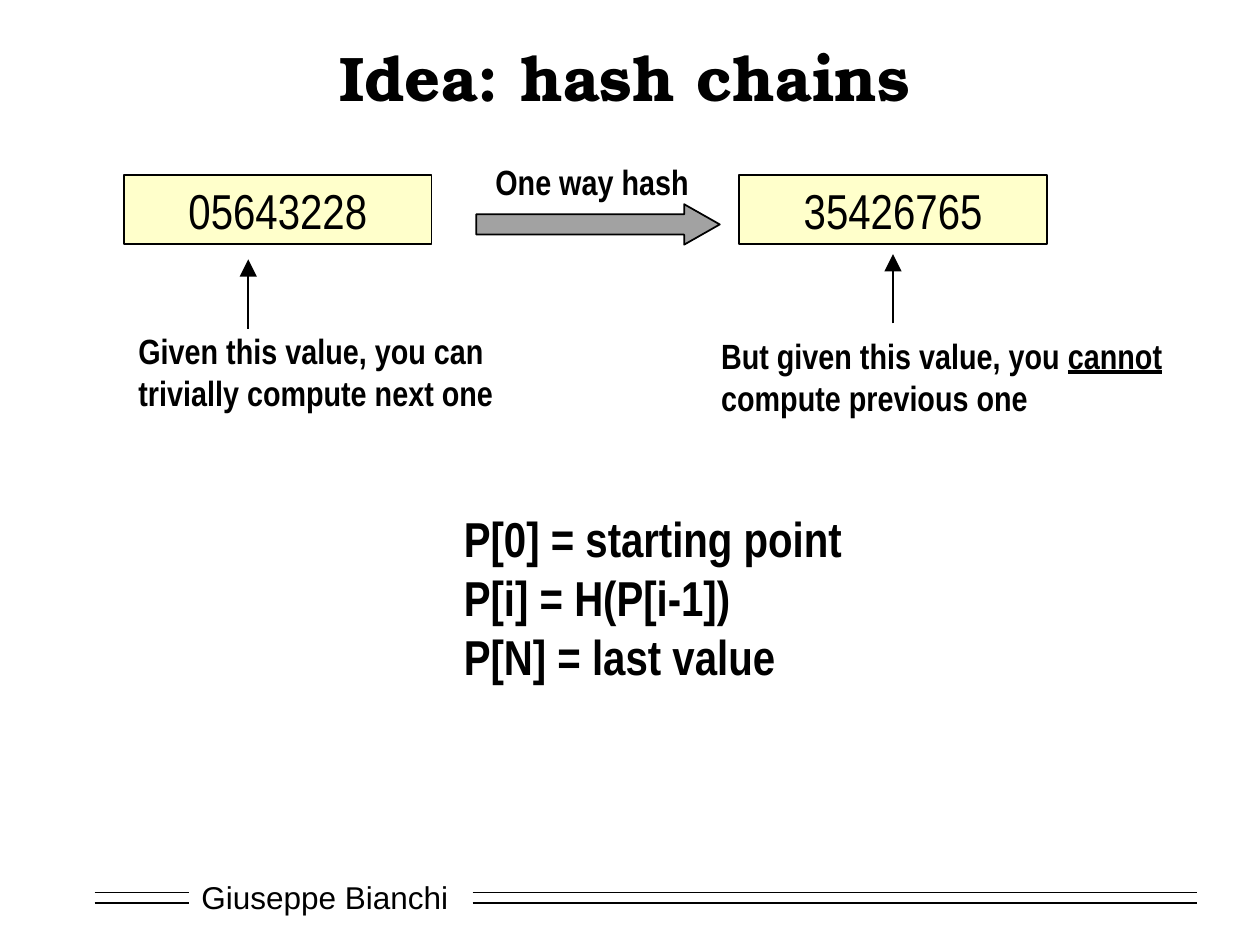
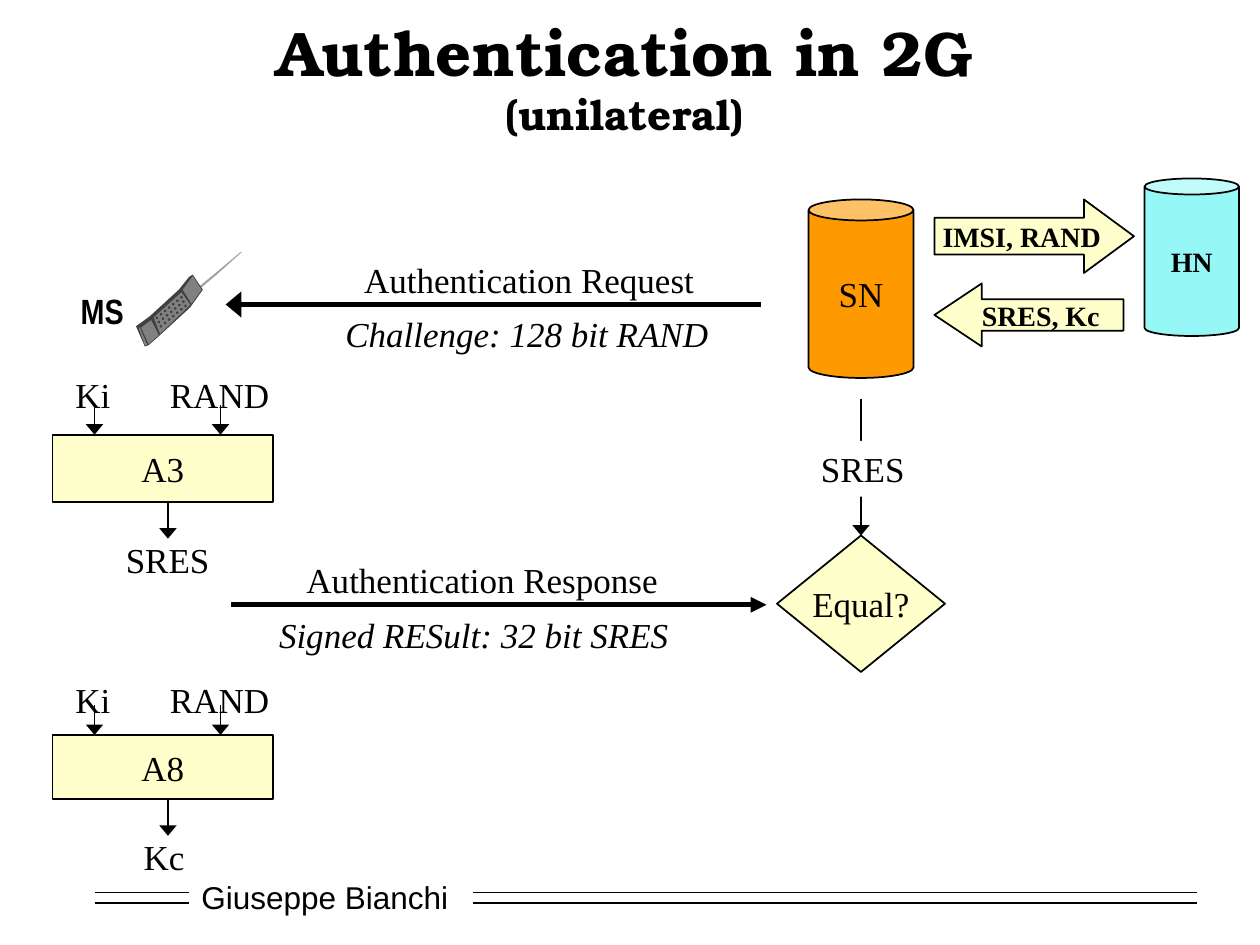
from lxml.etree import SubElement
from pptx import Presentation
from pptx.dml.color import RGBColor
from pptx.enum.shapes import MSO_CONNECTOR, MSO_SHAPE
from pptx.enum.text import MSO_ANCHOR, MSO_AUTO_SIZE, PP_ALIGN
from pptx.oxml.ns import qn
from pptx.util import Inches, Pt

COLORS = {
    "ink": "000000", "paper": "FFFFFF", "yellow": "FFFF99", "arrow": "474747",
    "orange": "FF9900", "cyan": "96F8F6",
    "dark": "404040", "mid": "808080", "light": "A0A0A0",
}
TITLE_FONT, FOOTER_FONT = "TeX Gyre Bonum", "Arial"
NARROW, SERIF = "Arial Narrow", "Times New Roman"
LABEL_HEIGHT = 5.3


def grid(*cells):
    """Columns and rows of a 120 by 90 grid, as lengths."""
    return [Inches(cell / 12) for cell in cells]


def color(name):
    return RGBColor.from_string(COLORS[name])


def write(shape, text, font=SERIF, size=20, bold=False, italic=False, align=None,
          anchor=MSO_ANCHOR.TOP, wrap=False, before=None):
    """Fill a shape: text is a string, or paragraphs made of (text, changes) spans."""
    frame = shape.text_frame
    frame.word_wrap = wrap
    frame.vertical_anchor = anchor
    paragraphs = [[(text, {})]] if isinstance(text, str) else text
    for index, spans in enumerate(paragraphs):
        para = frame.add_paragraph() if index else frame.paragraphs[0]
        para.alignment = align or PP_ALIGN.LEFT
        if before:
            para.space_before = Pt(before)
        for words, changes in spans:
            if words == "\n":
                para.add_line_break()
                continue
            span = para.add_run()
            span.text = words
            span.font.name = font
            span.font.size = Pt(changes.get("size", size))
            span.font.bold = bold
            span.font.italic = italic
            span.font.underline = changes.get("underline", False)
            span.font.color.rgb = color("ink")


def lines(*texts):
    return [[(text, {})] for text in texts]


def add_label(page, place, text, fill=None, **style):
    """A text box, a little wider than its text so that each line stays whole."""
    box = page.shapes.add_textbox(*grid(*place))
    write(box, text, wrap=True, **style)
    box.text_frame.auto_size = MSO_AUTO_SIZE.SHAPE_TO_FIT_TEXT
    if fill:
        box.fill.solid()
        box.fill.fore_color.rgb = color(fill)


def paint(shape, fill, opacity=100, outlined=True):
    shape.shadow.inherit = False
    shape.fill.solid()
    shape.fill.fore_color.rgb = color(fill)
    if opacity < 100:
        tint = shape.fill._xPr.find(qn("a:solidFill"))[0]
        SubElement(tint, qn("a:alpha"), val=str(opacity * 1000))
    if outlined:
        shape.line.color.rgb = color("ink")
        shape.line.width = Pt(1)
    else:
        shape.line.fill.background()


def add_block(page, kind, place, text="", fill="yellow", opacity=50, adjust=(), **style):
    shape = page.shapes.add_shape(kind, *grid(*place))
    for index, value in enumerate(adjust):
        shape.adjustments[index] = value
    paint(shape, fill, opacity)
    if text:
        write(shape, text, align=PP_ALIGN.CENTER, anchor=MSO_ANCHOR.MIDDLE, **style)


def add_line(page, ends, width=1, head=("lg", "med")):
    """A line; head is the width and length of its arrowhead, or None."""
    line = page.shapes.add_connector(MSO_CONNECTOR.STRAIGHT, *grid(*ends))
    line.line.color.rgb = color("ink")
    line.line.width = Pt(width)
    if head:
        SubElement(line.line._get_or_add_ln(), qn("a:tailEnd"),
                   type="triangle", w=head[0], len=head[1])
    SubElement(line._element.spPr, qn("a:effectLst"))


def add_page(deck, title):
    page = deck.slides.add_slide(deck.slide_layouts[6])
    # Footer with its double rule
    add_label(page, (18, 83.05, 26, 4.8), "Giuseppe Bianchi", fill="paper",
              font=FOOTER_FONT, size=18, anchor=MSO_ANCHOR.MIDDLE, before=11.2)
    for row in (85, 86):
        for left, right in ((9, 18), (45, 114)):
            add_line(page, (left, row, right, row), head=None)
    # Title
    box = page.shapes.add_textbox(*grid(9, 3, 101, 8.5))
    write(box, title, font=TITLE_FONT, size=36, bold=True, wrap=True,
          align=PP_ALIGN.CENTER, anchor=MSO_ANCHOR.MIDDLE)
    return page


def add_key_step(page, label_top, top, height, name, result, result_left):
    """An algorithm box with Ki and RAND going in and its result coming out."""
    bottom = top + height
    for column in (9, 21):
        add_line(page, (column, top - 2.85, column, top))
    add_block(page, MSO_SHAPE.RECTANGLE, (5, top, 21, height), name)
    add_line(page, (16, bottom, 16, bottom + 3.5))
    add_label(page, (15, label_top, 13.5, LABEL_HEIGHT), "RAND")
    add_label(page, (6, label_top, 7.5, LABEL_HEIGHT), "Ki")
    add_label(page, (result_left, bottom + 2.85, 12, LABEL_HEIGHT), result)


def add_phone(page):
    """A mobile phone; points are in hundredths of an inch."""
    unit = Inches(0.01)
    antenna = [(191, 200), (172, 216), (150, 234), (153, 234), (172, 218), (192, 200)]
    case = [(150, 220), (142, 230), (119, 251), (108, 259), (115, 275), (118, 274),
            (126, 267), (151, 244), (161, 230), (153, 218)]
    side = [(111, 260), (110, 260), (115, 274), (117, 274)]
    mouthpiece = [(112, 260), (118, 273), (126, 266), (120, 254)]
    earpiece = [(153, 219), (145, 230), (152, 241), (160, 230)]
    keypad = [(122, 252), (127, 265), (151, 242), (144, 232)]
    parts = [(antenna, "light"), (case, "dark"), (side, "mid"),
             (mouthpiece, "mid"), (earpiece, "mid"), (keypad, "mid")]
    for points, fill in parts:
        builder = page.shapes.build_freeform(*points[0], scale=unit)
        builder.add_line_segments(points[1:], close=True)
        paint(builder.convert_to_shape(), fill, outlined=False)
    # Three rows of seven keys, slanting down to the left
    for row in range(3):
        for key in range(7):
            left = int((143 + 1.6 * row - 3.25 * key) * unit)
            top = int((235 + 3.4 * row + 2.7 * key) * unit)
            dot = page.shapes.add_shape(MSO_SHAPE.OVAL, left, top, 2 * unit, 2 * unit)
            paint(dot, "dark", outlined=False)


def build_hash_chains(deck):
    page = add_page(deck, "Idea: hash chains")
    note = {"font": NARROW, "bold": True}
    # Hash step
    for left, value in ((11.8, "05643228"), (70.4, "35426765")):
        add_block(page, MSO_SHAPE.RECTANGLE, (left, 16.67, 29.3, 6.6), value,
                  font=NARROW, size=28)
    add_block(page, MSO_SHAPE.RIGHT_ARROW, (45.35, 19.45, 23.2, 3.85), fill="arrow",
              adjust=(0.5, 0.88))
    add_label(page, (46, 14.65, 23, LABEL_HEIGHT), "One way hash", **note)
    # Remarks
    add_label(page, (12, 30.75, 39, 9.25),
              lines("Given this value, you can", "trivially compute next one"), **note)
    add_label(page, (67.5, 31.3, 47, 9.25),
              [[("But given this value, you ", {}), ("cannot", {"underline": True})],
               [("compute previous one", {})]], **note)
    for column, row in ((23.65, 31.3), (85.05, 30.8)):
        add_line(page, (column, row, column, row - 6.6), head=("lg", "lg"))
    # Chain definition
    add_label(page, (43, 47.85, 42, 18),
              lines("P[0] = starting point", "P[i] = H(P[i-1])", "P[N] = last value"),
              size=28, **note)


def build_authentication(deck):
    page = add_page(deck, [[("Authentication in 2G", {}), ("\n", {}),
                            ("(unilateral)", {"size": 24})]])
    # Request and response
    add_line(page, (72.5, 29, 21.5, 29), width=3)
    add_label(page, (33.5, 24, 37, LABEL_HEIGHT), "Authentication Request")
    add_label(page, (31.7, 29.2, 40, LABEL_HEIGHT), "Challenge: 128 bit RAND", italic=True)
    add_line(page, (22, 57.6, 73, 57.6), width=3, head=("med", "med"))
    add_label(page, (28, 52.6, 39, LABEL_HEIGHT), "Authentication Response")
    add_label(page, (25.4, 57.85, 42, LABEL_HEIGHT), "Signed RESult: 32 bit SRES",
              italic=True)
    # Comparison
    add_block(page, MSO_SHAPE.FLOWCHART_DECISION, (74, 51, 16, 13), "Equal?")
    add_line(page, (82, 38, 82, 51))
    add_label(page, (77, 42, 12, LABEL_HEIGHT), "SRES", fill="paper")
    # Mobile station and networks
    add_phone(page)
    add_label(page, (6.5, 27, 8, LABEL_HEIGHT), "MS", font=NARROW, bold=True)
    small = {"size": 16, "bold": True}
    add_block(page, MSO_SHAPE.CAN, (77, 19, 10, 17), "SN", fill="orange", opacity=100,
              adjust=(0.2,))
    add_block(page, MSO_SHAPE.CAN, (109, 17, 9, 15), "HN", fill="cyan", opacity=100,
              adjust=(0.17,), **small)
    add_block(page, MSO_SHAPE.RIGHT_ARROW, (89, 19, 19, 7), "IMSI, RAND",
              adjust=(0.5, 0.68), **small)
    add_block(page, MSO_SHAPE.LEFT_ARROW, (89, 27, 18, 6), "SRES, Kc",
              adjust=(0.5, 0.75), **small)
    # Key algorithms
    add_key_step(page, 35, 41.4, 6.4, "A3", "SRES", 10.8)
    add_key_step(page, 64, 70, 6.1, "A8", "Kc", 12.5)


def main():
    deck = Presentation()
    deck.slide_width, deck.slide_height = grid(120, 90)
    build_hash_chains(deck)
    build_authentication(deck)
    deck.save("out.pptx")


if __name__ == "__main__":
    main()
